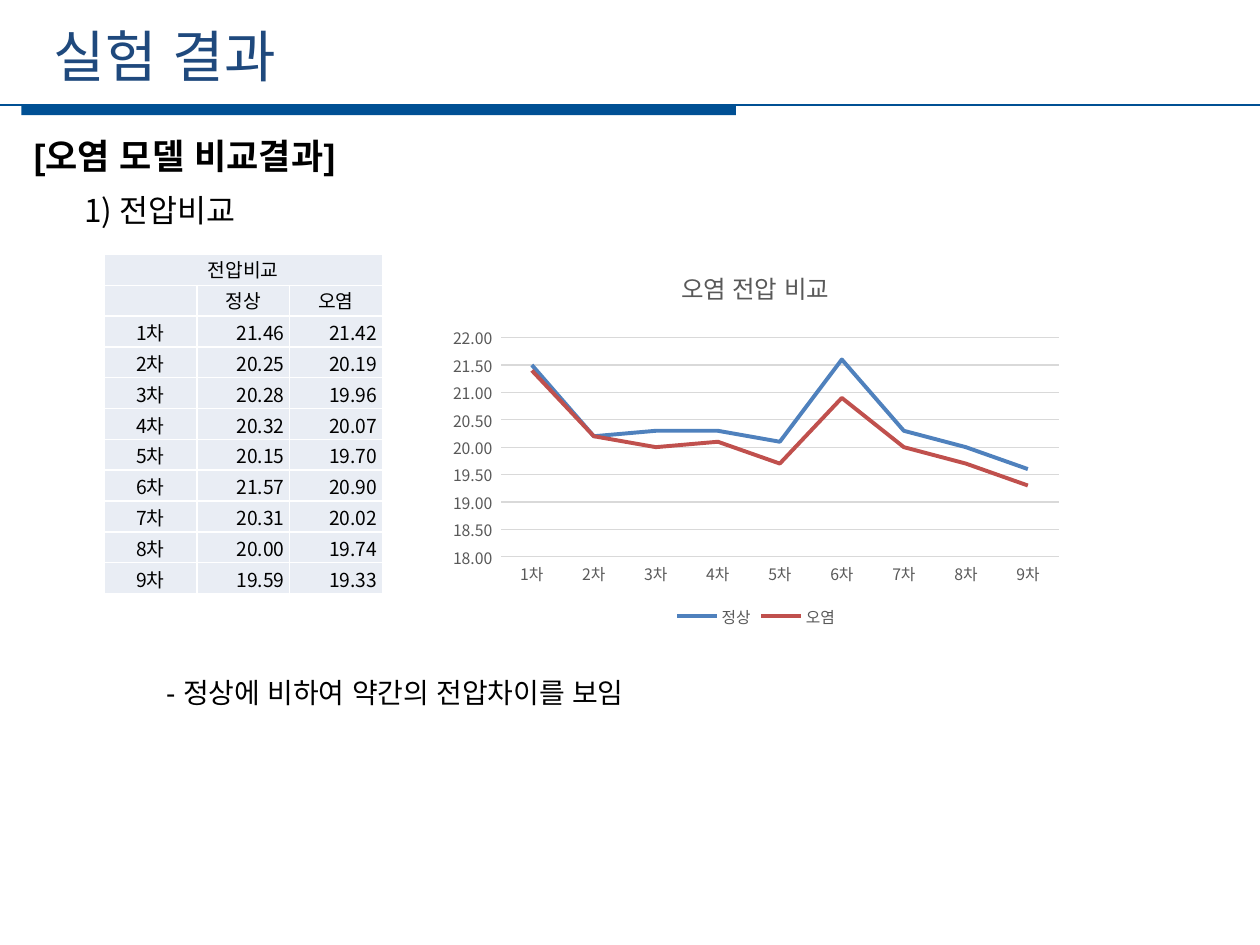
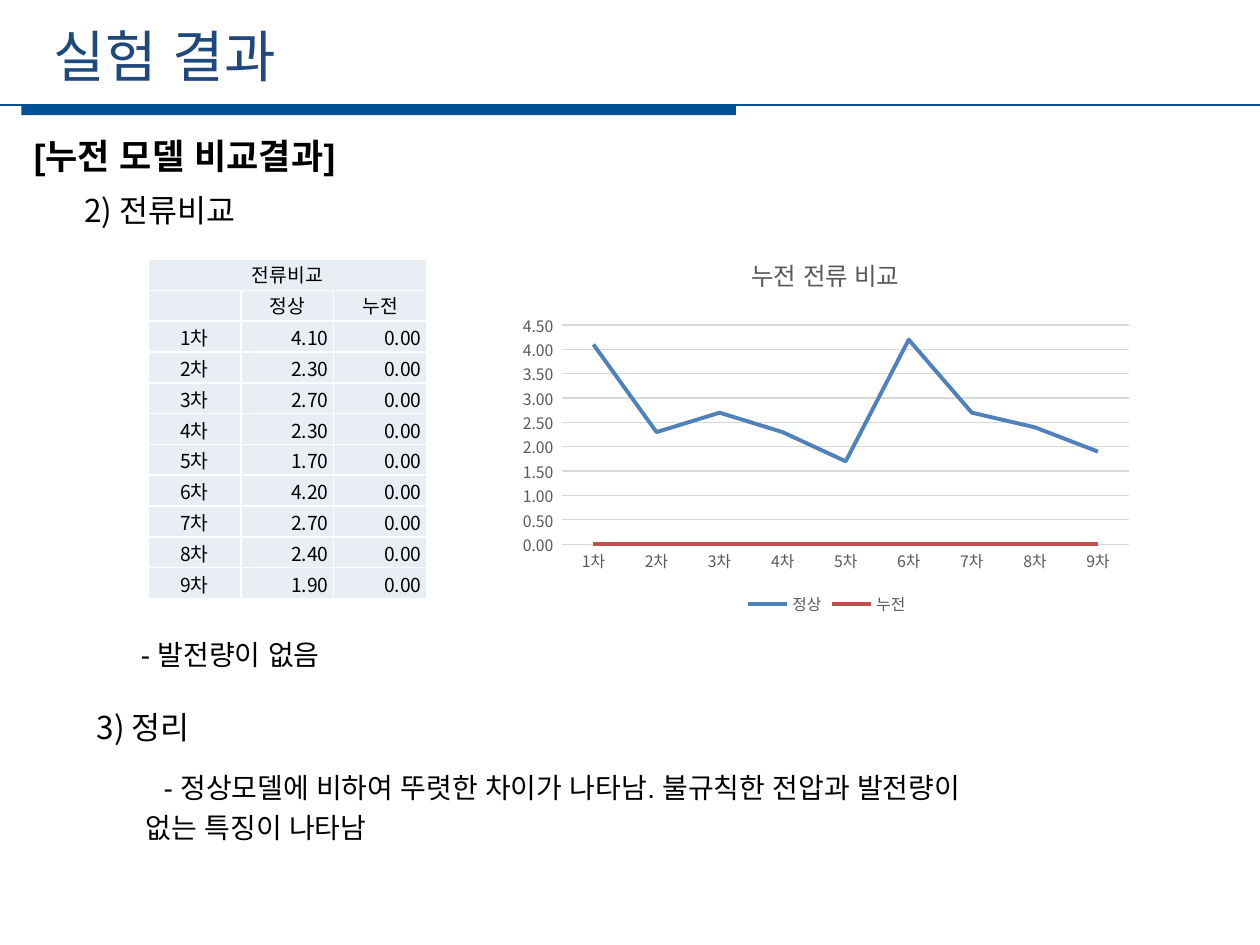
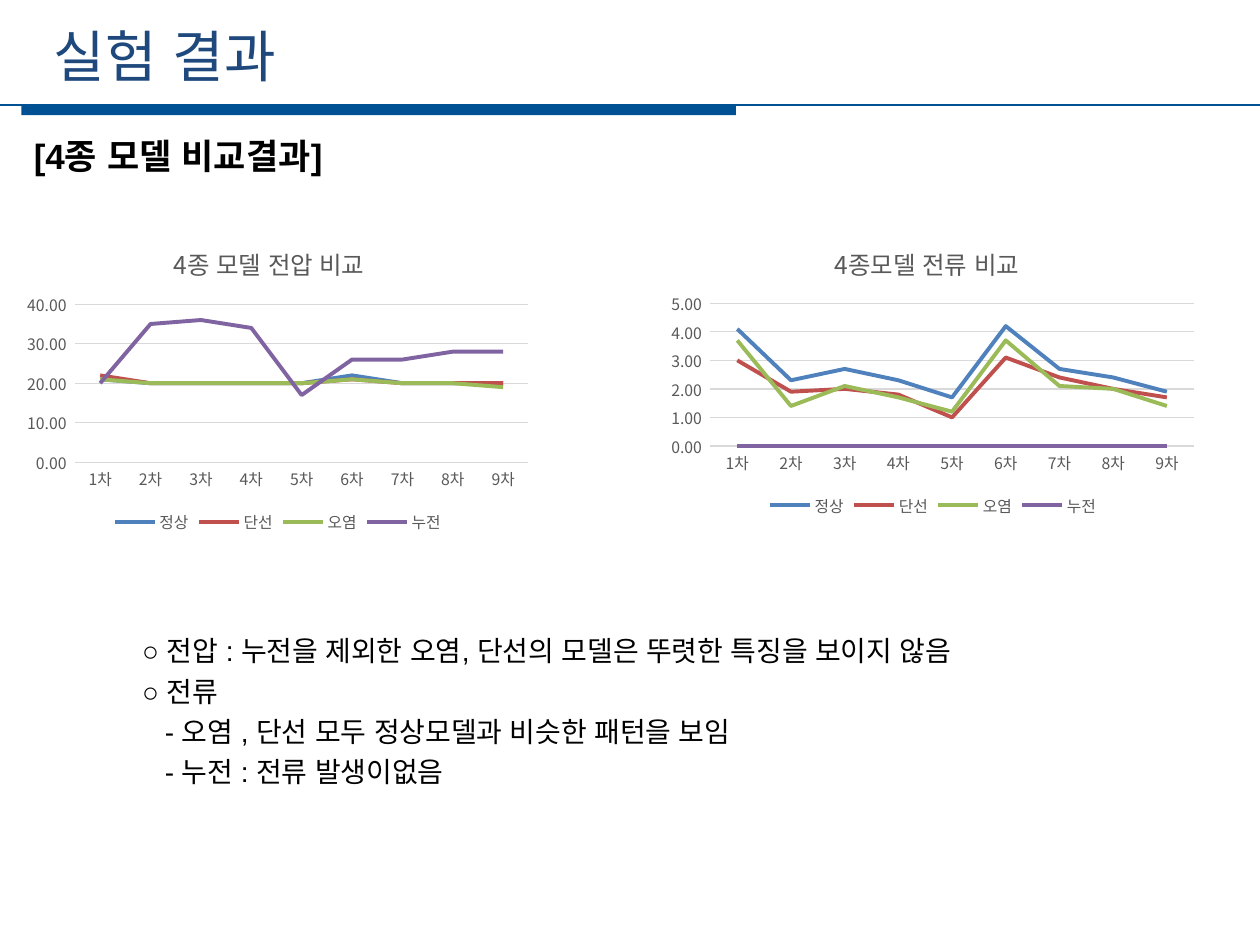
from lxml.etree import SubElement
from pptx import Presentation
from pptx.chart.data import CategoryChartData
from pptx.dml.color import RGBColor
from pptx.enum.chart import XL_CHART_TYPE, XL_LEGEND_POSITION as LEGEND, XL_TICK_MARK as TICK
from pptx.enum.shapes import MSO_CONNECTOR, MSO_SHAPE
from pptx.enum.text import MSO_ANCHOR, PP_ALIGN as ALIGN
from pptx.oxml.ns import qn
from pptx.util import Inches, Pt

BAND = RGBColor(0x00, 0x50, 0x94)
NAVY = RGBColor(0x1F, 0x49, 0x7D)
BLACK = RGBColor(0x00, 0x00, 0x00)
GRAY = RGBColor(0x59, 0x59, 0x59)
GRID = RGBColor(0xD9, 0xD9, 0xD9)
CELL = RGBColor(0xE9, 0xED, 0xF4)
BLUE = RGBColor(0x4F, 0x81, 0xBD)
RED = RGBColor(0xC0, 0x50, 0x4D)
GREEN = RGBColor(0x9B, 0xBB, 0x59)
PURPLE = RGBColor(0x80, 0x64, 0xA2)
KR, LATIN = "Noto Sans CJK KR", "Arial"

prs = Presentation()
prs.slide_width, prs.slide_height = Inches(10), Inches(7.5)
U = prs.slide_width // 100

ROUNDS = [f"{n}차" for n in range(1, 10)]
VOLT = {
    "정상": [21.46, 20.25, 20.28, 20.32, 20.15, 21.57, 20.31, 20.00, 19.59],
    "단선": [22, 20, 20, 20, 20, 21, 20, 20, 20],
    "오염": [21.42, 20.19, 19.96, 20.07, 19.70, 20.90, 20.02, 19.74, 19.33],
    "누전": [20, 35, 36, 34, 17, 26, 26, 28, 28],
}
AMP = {
    "정상": [4.1, 2.3, 2.7, 2.3, 1.7, 4.2, 2.7, 2.4, 1.9],
    "단선": [3, 1.9, 2, 1.8, 1, 3.1, 2.4, 2, 1.7],
    "오염": [3.7, 1.4, 2.1, 1.7, 1.2, 3.7, 2.1, 2, 1.4],
    "누전": [0] * 9,
}


def put(tf, text, size=16, font=LATIN, color=BLACK, bold=False, align=None,
        leading=None, indent=0, add=False):
    p = tf.add_paragraph() if add else tf.paragraphs[0]
    if indent:
        p._p.get_or_add_pPr().set("indent", str(int(indent * U)))
    if align is not None:
        p.alignment = align
    if leading:
        p.line_spacing = Pt(leading)
    r = p.add_run()
    r.text = text
    r.font.size, r.font.name, r.font.bold = Pt(size), font, bold
    r.font.color.rgb = color
    SubElement(r.font._element, qn("a:ea"), typeface=LATIN)


def line_chart(s, box, title, title_left, data, names, scale):
    low, high, step = scale
    digits = 0 if step >= 10 else 1
    cd = CategoryChartData(number_format="0.00_ ")
    cd.categories = ROUNDS
    for name in names:
        cd.add_series(name, [round(v, digits) for v in data[name]])
    chart = s.shapes.add_chart(XL_CHART_TYPE.LINE, *[int(v * U) for v in box], cd).chart
    chart.font.size, chart.font.name, chart.font.color.rgb = Pt(9), KR, GRAY
    chart.has_title = True
    put(chart.chart_title.text_frame, title, size=14, font=KR, color=GRAY)
    chart.has_legend = True
    chart.legend.position = LEGEND.BOTTOM
    chart.legend.include_in_layout = False

    plot = chart.plots[0]
    plot.vary_by_categories = False
    palette = [BLUE, RED, GREEN, PURPLE]
    for series, color in zip(plot.series, palette):
        series.smooth = False
        series.format.line.width = Pt(2.25)
        series.format.line.color.rgb = color

    val, cat = chart.value_axis, chart.category_axis
    for axis in (val, cat):
        axis.major_tick_mark = axis.minor_tick_mark = TICK.NONE
    val.minimum_scale, val.maximum_scale, val.major_unit = low, high, step
    val.tick_labels.number_format = "0.00_ "
    val.tick_labels.number_format_is_linked = False
    val.format.line.fill.background()
    for line in (val.major_gridlines.format.line, cat.format.line):
        line.width = Pt(0.75)
        line.color.rgb = GRID

    w, h = box[2:]
    left = 4.75 if high >= 10 else 4
    top = 5.1 + 0.05 * h
    places = [("c:title", 1, {"x": title_left / w, "y": 1.1 / h}),
              ("c:plotArea", 0, {"x": left / w, "y": top / h,
                                 "w": (w - left - 0.95) / w, "h": (h - top - 6) / h})]
    for tag, index, shares in places:
        el = chart._chartSpace.xpath(f"c:chart/{tag}")[0]
        for old in el.findall(qn("c:layout")):
            el.remove(old)
        layout = SubElement(el, qn("c:layout"))
        el.insert(index, layout)
        manual = SubElement(layout, qn("c:manualLayout"))
        if "w" in shares:
            SubElement(manual, qn("c:layoutTarget"), val="inner")
        for key in ("x", "y"):
            SubElement(manual, qn(f"c:{key}Mode"), val="edge")
        for key, share in shares.items():
            SubElement(manual, qn(f"c:{key}"), val=f"{share:.3f}")


HEAD = dict(size=20, bold=True, leading=23)
ITEM = dict(size=18, font=KR)
NOTE = dict(leading=23, indent=1.4)
ROUND_NOTE = dict(leading=23, indent=1.2)
SUB = dict(leading=23, indent=3)

slides = [
    dict(
        texts=[
            ((1.7, 10.3, 96, 4.2), HEAD, ["[오염 모델 비교결과]"]),
            ((5.7, 14.7, 20, 4), ITEM, ["1) 전압비교"]),
            ((10.8, 52.6, 69.1, 4), NOTE, ["- 정상에 비하여 약간의 전압차이를 보임"]),
        ],
        tables=[((8.25, 20.2), "전압비교", VOLT, ["정상", "오염"])],
        charts=[((35, 20.2, 50, 30), "오염 전압 비교", 18.7, VOLT,
                 ["정상", "오염"], (18, 22, 0.5))],
    ),
    dict(
        texts=[
            ((1.7, 10.3, 96, 4.2), HEAD, ["[누전 모델 비교결과]"]),
            ((5.7, 14.7, 20, 4), ITEM, ["2) 전류비교"]),
            ((8.8, 49.6, 46.3, 4), NOTE, ["- 발전량이 없음"]),
            ((6.7, 55.7, 20, 4), ITEM, ["3) 정리"]),
            ((10.6, 60.1, 69.1, 7.5), NOTE,
             ["- 정상모델에 비하여 뚜렷한 차이가 나타남. 불규칙한 전압과 발전량이 없는 특징이 나타남"]),
        ],
        tables=[((11.75, 20.6), "전류비교", AMP, ["정상", "누전"])],
        charts=[((40.6, 19.2, 50, 30), "누전 전류 비교", 18.7, AMP,
                 ["정상", "누전"], (0, 4.5, 0.5))],
    ),
    dict(
        texts=[
            ((1.7, 10.3, 96, 4.2), HEAD, ["[4종 모델 비교결과]"]),
            ((9.1, 49.3, 77.2, 13.9), ROUND_NOTE,
             ["○ 전압 : 누전을 제외한 오염, 단선의 모델은 뚜렷한 특징을 보이지 않음",
              "○ 전류",
              "- 오염 , 단선 모두 정상모델과 비슷한 패턴을 보임",
              "- 누전 : 전류 발생이없음"]),
        ],
        tables=[],
        charts=[
            ((1.2, 17.8, 41.7, 24.9), "4종 모델 전압 비교", 12.2, VOLT,
             list(VOLT), (0, 40, 10)),
            ((52.4, 17.8, 43.3, 23.6), "4종모델 전류 비교", 13.5, AMP,
             list(AMP), (0, 5, 1)),
        ],
    ),
]

for content in slides:
    s = prs.slides.add_slide(prs.slide_layouts[6])

    header = s.shapes.add_group_shape().shapes
    bar = header.add_shape(MSO_SHAPE.RECTANGLE, *[int(v * U) for v in (1.7, 8.35, 56.7, 0.8)])
    bar.shadow.inherit = False
    bar.fill.solid()
    bar.fill.fore_color.rgb = BAND
    bar.line.fill.background()
    rule_y = int(8.35 * U)
    rule = header.add_connector(MSO_CONNECTOR.STRAIGHT, 0, rule_y, prs.slide_width, rule_y)
    rule.line.color.rgb = BAND
    rule.line.width = Pt(1.25)
    SubElement(rule._element.spPr, qn("a:effectLst"))

    title = ((3.3, 1.2, 89.6, 6.4), dict(size=32, font=KR, color=NAVY), ["실험 결과"])
    for box, fmt, lines in [title] + content["texts"]:
        tf = s.shapes.add_textbox(*[int(v * U) for v in box]).text_frame
        tf.word_wrap = True
        for i, line in enumerate(lines):
            line_fmt = SUB if i and line.startswith("-") else fmt
            put(tf, line, add=i > 0, **line_fmt)

    for (x, y), caption, data, names in content["tables"]:
        rows = [[caption, "", ""], ["", *names]]
        for i, label in enumerate(ROUNDS):
            rows.append([label] + [f"{data[name][i]:.2f}" for name in names])
        table = s.shapes.add_table(len(rows), 3, int(x * U), int(y * U),
                                   int(22.1 * U), int(26.9 * U)).table
        table.first_row = table.horz_banding = False
        for r, row in enumerate(rows):
            table.rows[r].height = int(26.9 * U / len(rows))
            for c, text in enumerate(row):
                cell = table.cell(r, c)
                cell.margin_left = cell.margin_top = Inches(0.01)
                cell.margin_right = Inches(0.04 if r > 1 and c else 0.01)
                cell.margin_bottom = 0
                cell.vertical_anchor = MSO_ANCHOR.MIDDLE
                for side in ("lnL", "lnR", "lnT", "lnB"):
                    ln = SubElement(cell._tc.get_or_add_tcPr(), qn(f"a:{side}"), w=str(Pt(1)))
                    SubElement(SubElement(ln, qn("a:solidFill")), qn("a:srgbClr"), val="FFFFFF")
                cell.fill.solid()
                cell.fill.fore_color.rgb = CELL
                if text:
                    put(cell.text_frame, text, size=11, font=KR,
                        align=ALIGN.RIGHT if r > 1 and c else ALIGN.CENTER)
                else:
                    SubElement(cell.text_frame.paragraphs[0]._p, qn("a:endParaRPr"), sz="1100")
        table.cell(0, 0).merge(table.cell(0, 2))

    for chart_args in content["charts"]:
        line_chart(s, *chart_args)

prs.save("out.pptx")
